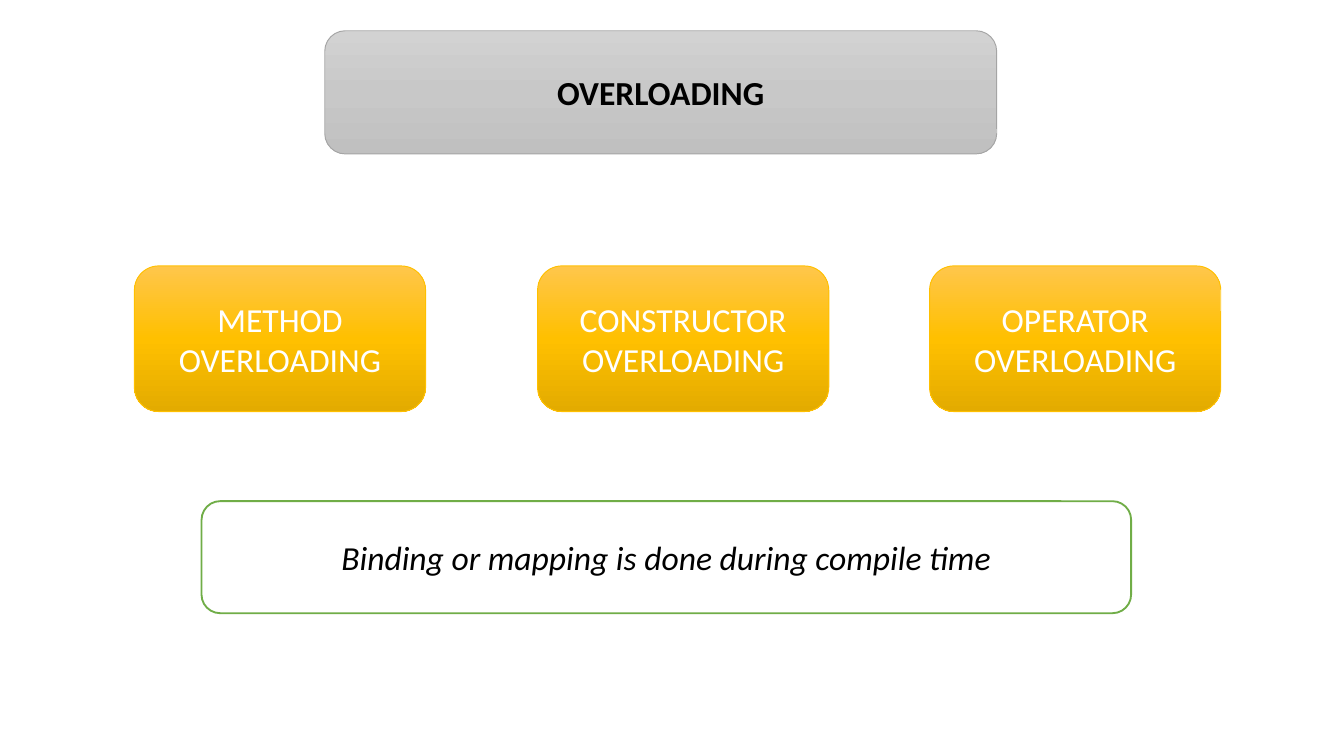
from copy import deepcopy

from pptx import Presentation
from pptx.dml.color import RGBColor
from pptx.enum.shapes import MSO_SHAPE
from pptx.enum.text import MSO_ANCHOR, PP_ALIGN
from pptx.oxml.ns import qn
from pptx.util import Pt

PX = 9525  # EMU per px, 96 px to the inch
ROUND = MSO_SHAPE.ROUNDED_RECTANGLE
CENTER = PP_ALIGN.CENTER
MIDDLE = MSO_ANCHOR.MIDDLE

COLORS = {
    "black": "000000",
    "white": "FFFFFF",
    "gray": "A5A5A5",
    "gold": "FFC000",
    "green": "70AD47",
    "gray top": "D2D2D2",
    "gray mid": "C8C8C8",
    "gray end": "C0C0C0",
    "gold top": "FFC64B",
    "gold end": "E3AB00",
}
GRAYS = ["gray top", "gray mid", "gray end"]
GOLDS = ["gold top", "gold", "gold end"]


def rgb(name):
    return RGBColor.from_string(COLORS[name])


class Deck:
    font = "Calibri"
    size = Pt(18)

    def __init__(self, width, height):
        self.prs = Presentation()
        self.prs.slide_width = width * PX
        self.prs.slide_height = height * PX
        self.slide = self.prs.slides.add_slide(self.prs.slide_layouts[6])

    def shade(self, shape, names):
        """Fill from top to bottom with evenly spaced colours."""
        fill = shape.fill
        fill.gradient()
        fill.gradient_angle = 270
        stops = shape.element.spPr.find(qn("a:gradFill")).find(qn("a:gsLst"))
        while len(stops) < len(names):
            stops.append(deepcopy(stops[0]))
        for i, (stop, name) in enumerate(zip(fill.gradient_stops, names)):
            stop.position = i / (len(names) - 1)
            stop.color.rgb = rgb(name)

    def box(self, text, left, top, width, height, fills, line, weight=0.5,
            color="black", bold=False, italic=False):
        shape = self.slide.shapes.add_shape(
            ROUND, left * PX, top * PX, width * PX, height * PX)
        shape.shadow.inherit = False
        if len(fills) > 1:
            self.shade(shape, fills)
        else:
            shape.fill.solid()
            shape.fill.fore_color.rgb = rgb(fills[0])
        shape.line.color.rgb = rgb(line)
        shape.line.width = Pt(weight)

        frame = shape.text_frame
        frame.word_wrap = True
        frame.vertical_anchor = MIDDLE
        para = frame.paragraphs[0]
        para.text = text
        para.alignment = CENTER
        font = para.font
        font.name, font.size = self.font, self.size
        font.bold, font.italic = bold, italic
        font.color.rgb = rgb(color)


def main():
    deck = Deck(960, 540)
    deck.box("OVERLOADING", 232, 22, 480, 88, GRAYS, "gray", bold=True)

    kinds = {"METHOD": 96, "CONSTRUCTOR": 384, "OPERATOR": 664}
    for kind, left in kinds.items():
        deck.box(f"{kind} OVERLOADING", left, 190, 208, 104, GOLDS, "gold",
                 color="white")

    deck.box("Binding or mapping is done during compile time",
             144, 358, 664, 80, ["white"], "green", weight=1, italic=True)
    deck.prs.save("out.pptx")


if __name__ == "__main__":
    main()
